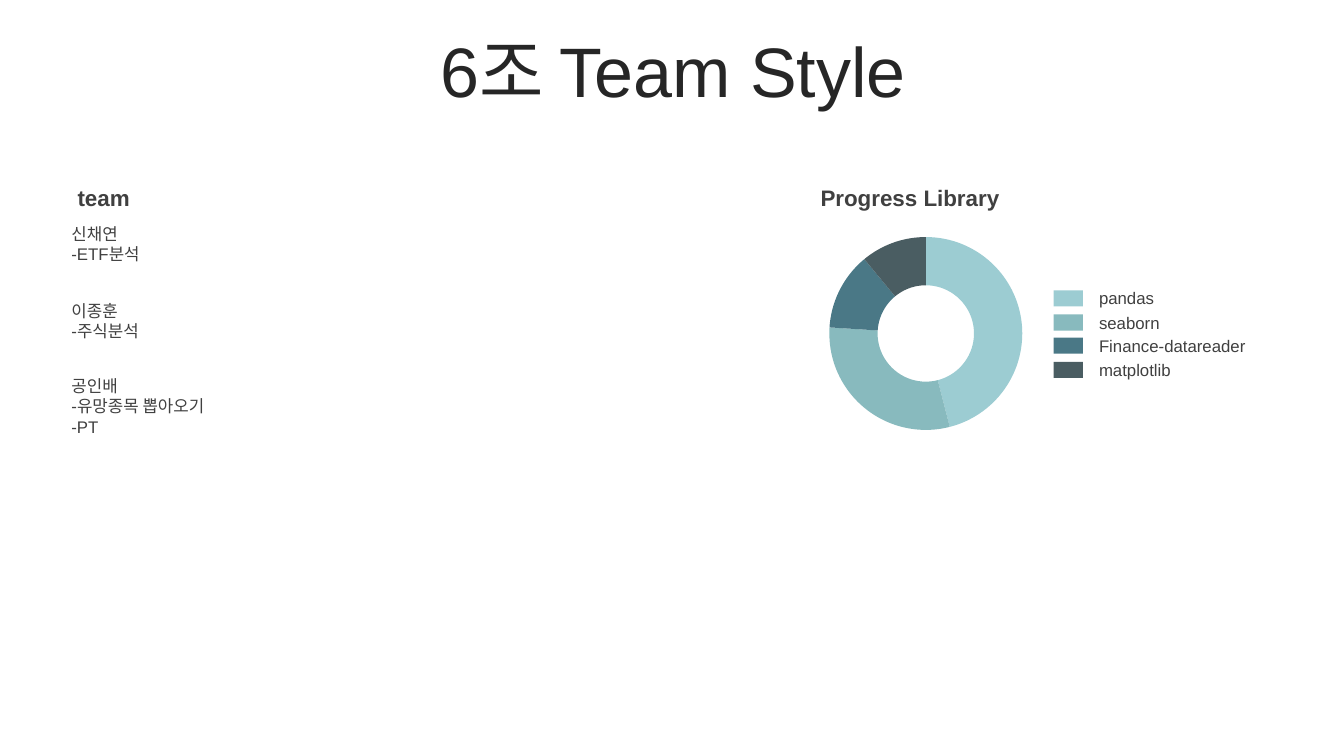
from lxml import etree
from pptx import Presentation
from pptx.chart.data import CategoryChartData
from pptx.dml.color import RGBColor
from pptx.enum.chart import XL_CHART_TYPE
from pptx.enum.shapes import MSO_SHAPE
from pptx.enum.text import MSO_ANCHOR, PP_ALIGN
from pptx.oxml.ns import qn
from pptx.util import Pt

PX = 9144
COLORS = {
    "title": "262626",
    "text": "404040",
    "pandas": "9CCCD2",
    "seaborn": "88BABE",
    "Finance-datareader": "4A7886",
    "matplotlib": "4A5D62",
}
USAGE = {"pandas": 46, "seaborn": 30, "Finance-datareader": 13, "matplotlib": 11}

prs = Presentation()
prs.slide_width, prs.slide_height = 1333 * PX, 750 * PX
s = prs.slides.add_slide(prs.slide_layouts[6])


def add_text(text, x, y, w, h, size=12, color="text", bold=False, left=10,
             align=PP_ALIGN.LEFT, anchor=MSO_ANCHOR.TOP, spacing=1.0):
    tf = s.shapes.add_textbox(x * PX, y * PX, w * PX, h * PX).text_frame
    tf.word_wrap = True
    tf.vertical_anchor = anchor
    tf.margin_left = left * PX
    for i, line in enumerate(text.split("\n")):
        p = tf.add_paragraph() if i else tf.paragraphs[0]
        p.alignment = align
        p.line_spacing = spacing
        r = p.add_run()
        r.text = line
        r.font.name = "Arial"
        r.font.size = Pt(size)
        r.font.bold = bold
        r.font.color.rgb = RGBColor.from_string(COLORS[color])


add_text("6조 Team Style", 35, 37, 1266, 79, size=50, color="title",
         align=PP_ALIGN.CENTER, anchor=MSO_ANCHOR.MIDDLE, spacing=0.8)

data = CategoryChartData()
data.categories = ["1", "2", "3", "4"]
data.add_series("Series 1", list(USAGE.values()))
chart = s.shapes.add_chart(XL_CHART_TYPE.DOUGHNUT, 798 * PX, 222 * PX,
                           243 * PX, 220 * PX, data).chart
chart.has_legend = False
chart.has_title = False
chart.font.name = "Arial"
chart.font.size = Pt(18)
chart.font.color.rgb = RGBColor(0, 0, 0)
plot = chart.plots[0]
plot.vary_by_categories = True

plot_area = plot._element.getparent()
layout = plot_area.find(qn("c:layout"))
if layout is None:
    layout = etree.Element(qn("c:layout"))
    plot_area.insert(0, layout)
manual = etree.SubElement(layout, qn("c:manualLayout"))
for tag, val in [("layoutTarget", "inner"), ("xMode", "edge"), ("yMode", "edge"),
                 ("x", "0.1"), ("y", "0.06"), ("w", "0.79"), ("h", "0.87")]:
    etree.SubElement(manual, qn(f"c:{tag}")).set("val", val)

for i, library in enumerate(USAGE):
    rgb = RGBColor.from_string(COLORS[library])
    point = plot.series[0].points[i].format
    point.fill.solid()
    point.fill.fore_color.rgb = rgb
    point.line.fill.background()

    y = 288 + round(i * 23.6)
    sp = s.shapes.add_shape(MSO_SHAPE.RECTANGLE, 1045 * PX, y * PX, 29 * PX, 16 * PX)
    sp.shadow.inherit = False
    sp.fill.solid()
    sp.fill.fore_color.rgb = rgb
    sp.line.fill.background()
    add_text(library, 1090, y - 7, 211, 30, left=0)

add_text("Progress Library", 804, 181, 263, 31, size=16, bold=True, spacing=0.9)
add_text("team", 61, 181, 276, 31, size=16, bold=True, left=16,
         anchor=MSO_ANCHOR.MIDDLE)

members = [
    ("신채연\n-ETF분석", 50),
    ("이종훈\n-주식분석", 50),
    ("공인배\n-유망종목 뽑아오기\n-PT", 91),
]
for i, (member, h) in enumerate(members):
    add_text(member, 61, 217 + round(i * 75.5), 348, h)

prs.save("out.pptx")
